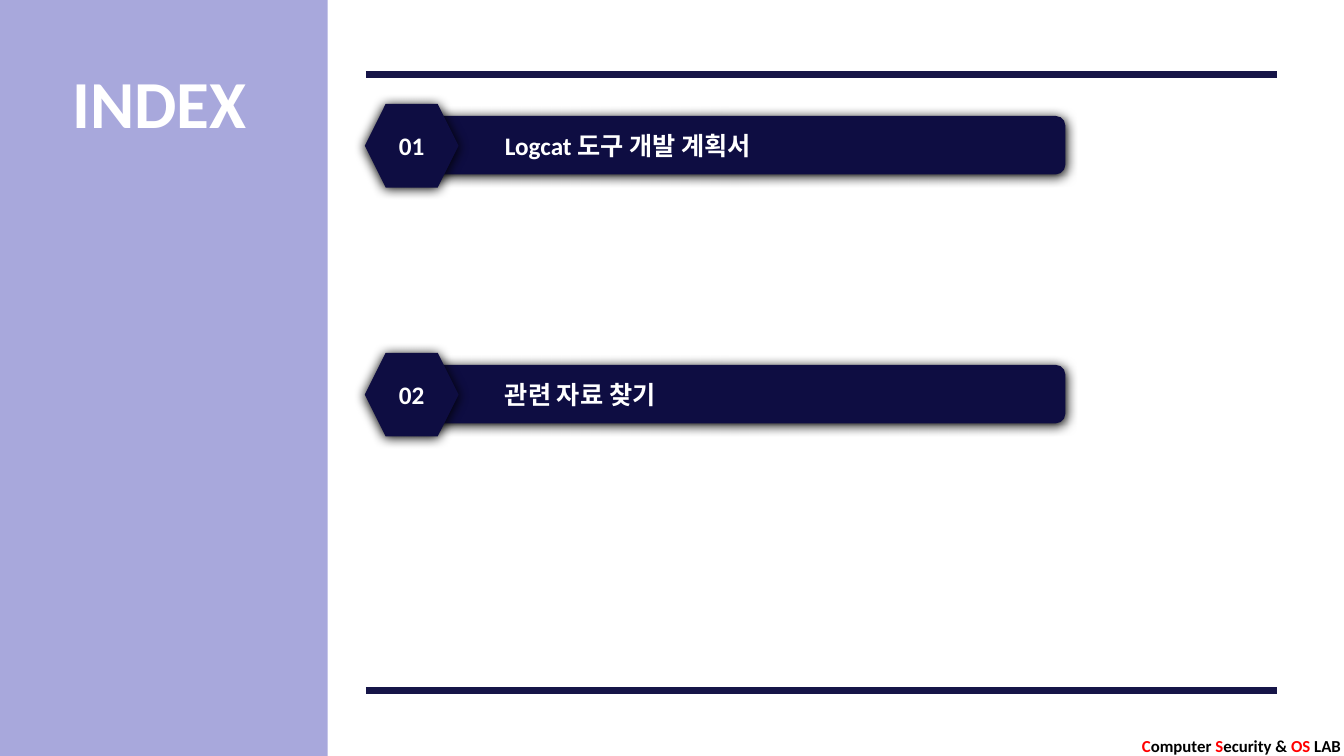
import pptx
import pptx.dml.color
import pptx.enum.shapes
import pptx.enum.text
import pptx.oxml
import pptx.oxml.ns
import pptx.util
from lxml import etree

Pt = pptx.util.Pt
Shape = pptx.enum.shapes.MSO_SHAPE
qn = pptx.oxml.ns.qn

COLORS = {
    "panel": "000099",
    "navy": "0E0D42",
    "rule": "161548",
    "white": "FFFFFF",
    "black": "000000",
    "red": "FF0000",
}
FONT = "Calibri"
ITEMS = ["Logcat 도구 개발 계획서", "관련 자료 찾기"]
ITEM_WIDTHS = [203, 132]
ITEM_TOP = 74.2
ITEM_STEP = 177.8


def rgb(name):
    return pptx.dml.color.RGBColor.from_string(COLORS[name])


def add_block(slide, kind, left, top, width, height, color):
    shape = slide.shapes.add_shape(kind, Pt(left), Pt(top), Pt(width), Pt(height))
    shape.shadow.inherit = False
    shape.fill.solid()
    shape.fill.fore_color.rgb = rgb(color)
    shape.line.fill.background()
    return shape


def add_glow_shadow(shape):
    effects = shape._element.spPr.find(qn("a:effectLst"))
    shadow = etree.SubElement(
        effects, qn("a:outerShdw"), blurRad=str(Pt(8.5)), dist=str(Pt(1)),
        dir="5400000", algn="t", rotWithShape="0")
    etree.SubElement(shadow, qn("a:srgbClr"), val=COLORS["black"])


def add_label(slide, left, top, width, height, size, runs):
    """Add one line of bold text; runs is a list of (text, color name)."""
    box = slide.shapes.add_textbox(Pt(left), Pt(top), Pt(width), Pt(height))
    frame = box.text_frame
    frame.word_wrap = False
    frame.auto_size = pptx.enum.text.MSO_AUTO_SIZE.SHAPE_TO_FIT_TEXT
    paragraph = frame.paragraphs[0]
    paragraph.font.name = FONT
    paragraph.font.size = Pt(size)
    paragraph.font.bold = True
    for text, color in runs:
        run = paragraph.add_run()
        run.text = text
        run.font.color.rgb = rgb(color)


def add_rule(slide, top):
    line = slide.shapes.add_connector(
        pptx.enum.shapes.MSO_CONNECTOR.STRAIGHT, Pt(261.4), Pt(top), Pt(912.2), Pt(top))
    line.line.color.rgb = rgb("rule")
    line.line.width = Pt(4.5)
    etree.SubElement(line._element.spPr, qn("a:effectLst"))


def add_index_item(slide, number, title, title_width, top):
    bar = add_block(slide, Shape.ROUNDED_RECTANGLE, 288.7, top + 8.6, 472.3, 41.8, "navy")
    badge = add_block(slide, Shape.HEXAGON, 260.6, top, 67, 59.8, "navy")
    for shape in (bar, badge):
        add_glow_shadow(shape)
    add_label(slide, 277.9, top + 15.1, 33.1, 29, 18, [(f"{number:02d}", "white")])
    add_label(slide, 353.5, top + 15.1, title_width, 29, 18, [(title, "white")])


def main():
    presentation = pptx.Presentation()
    presentation.slide_width = Pt(960)
    presentation.slide_height = Pt(540)
    slide = presentation.slides.add_slide(presentation.slide_layouts[6])

    # Side panel with the heading
    panel = add_block(slide, Shape.RECTANGLE, 0, 0, 234, 540, "panel")
    panel_color = panel._element.spPr.find(qn("a:solidFill"))[0]
    etree.SubElement(panel_color, qn("a:alpha"), val="34000")
    add_label(slide, 44.6, 40.3, 140.4, 65.5, 48, [("INDEX", "white")])

    # Rules above and below the list
    for top in (53.3, 493.2):
        add_rule(slide, top)

    # Index entries
    for index, (title, width) in enumerate(zip(ITEMS, ITEM_WIDTHS)):
        add_index_item(slide, index + 1, title, width, ITEM_TOP + index * ITEM_STEP)

    # Footer
    add_label(slide, 808.6, 522, 158.4, 21.6, 12, [
        ("C", "red"), ("omputer ", "black"), ("S", "red"),
        ("ecurity & ", "black"), ("OS ", "red"), ("LAB", "black")])

    presentation.save("out.pptx")


if __name__ == "__main__":
    main()
